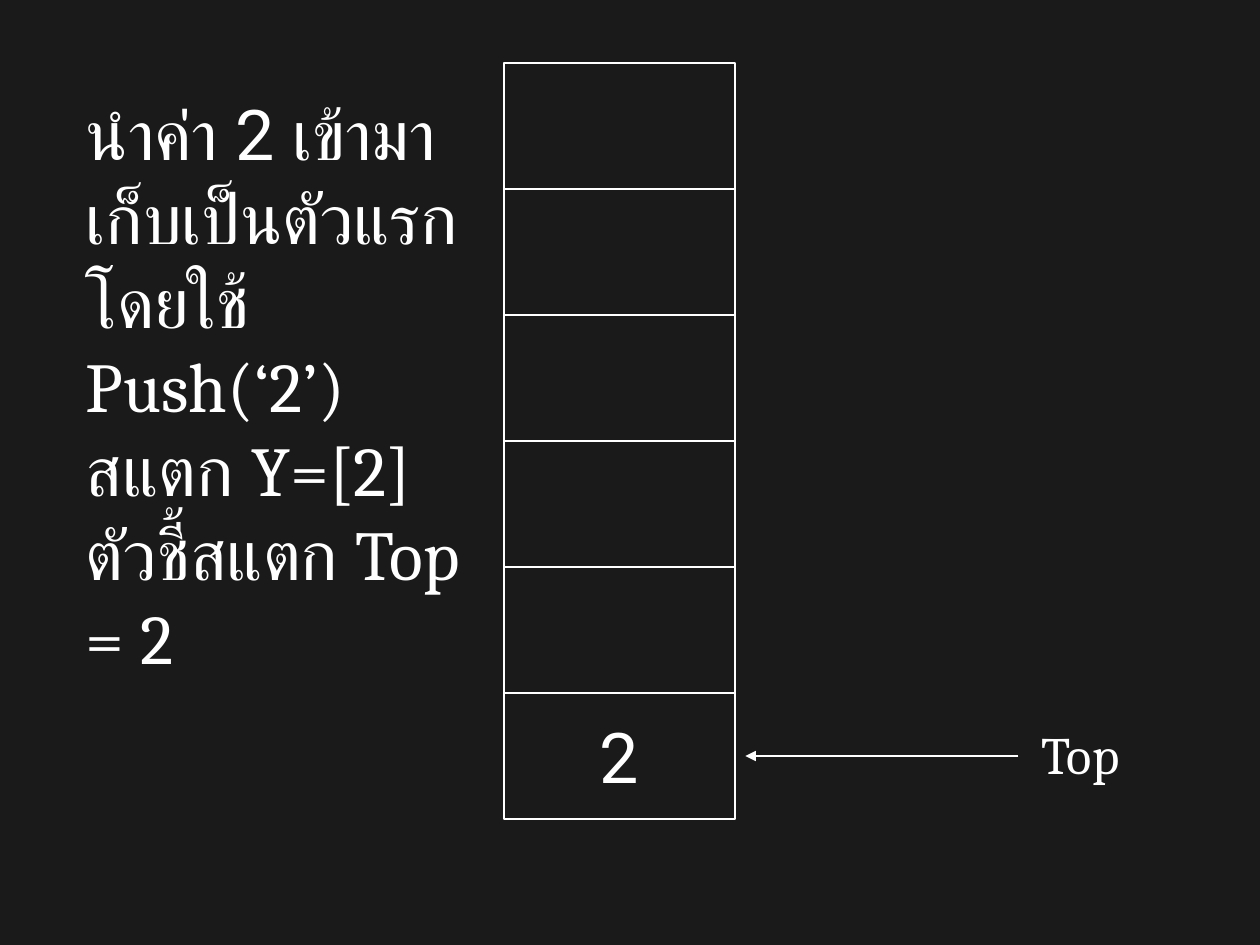
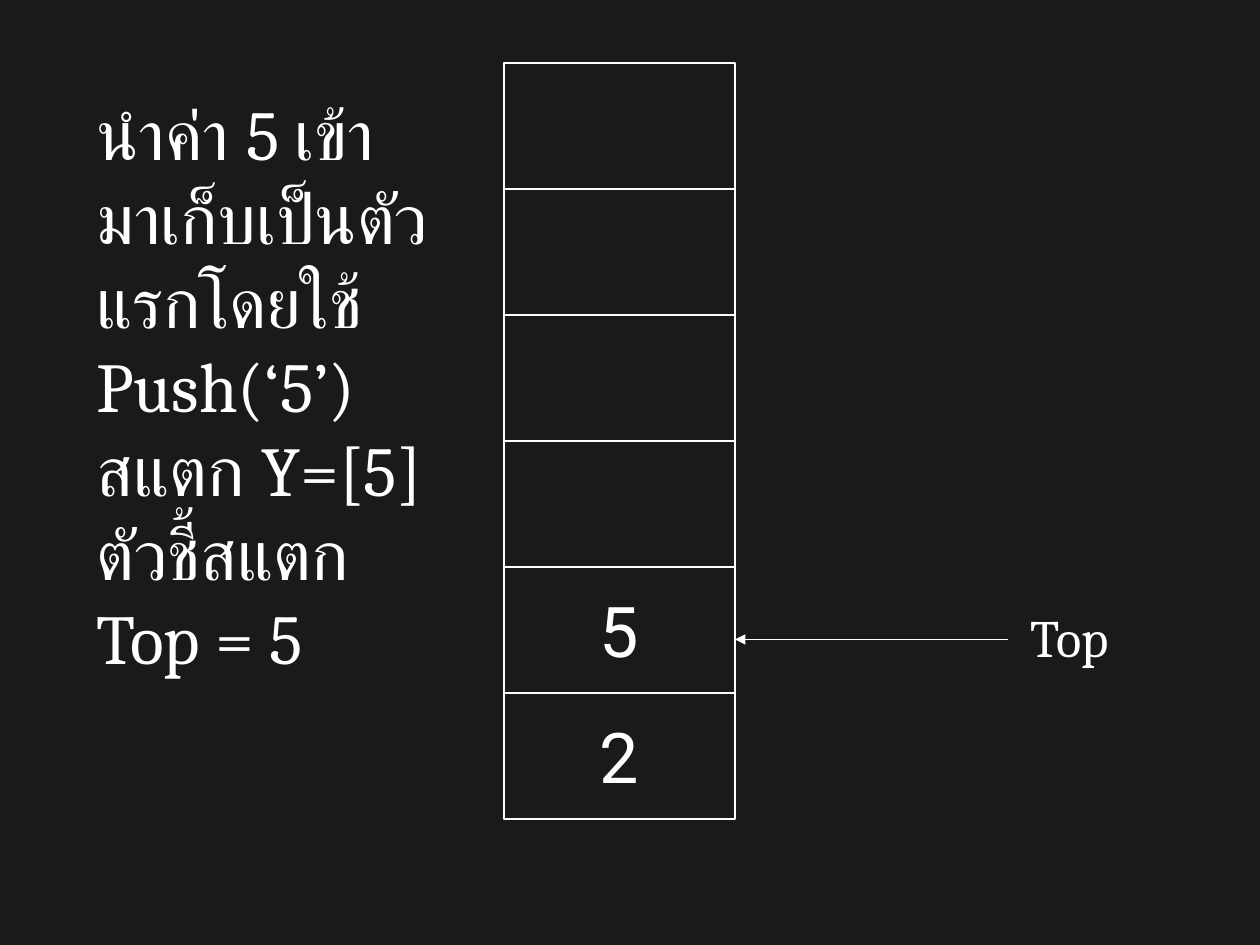
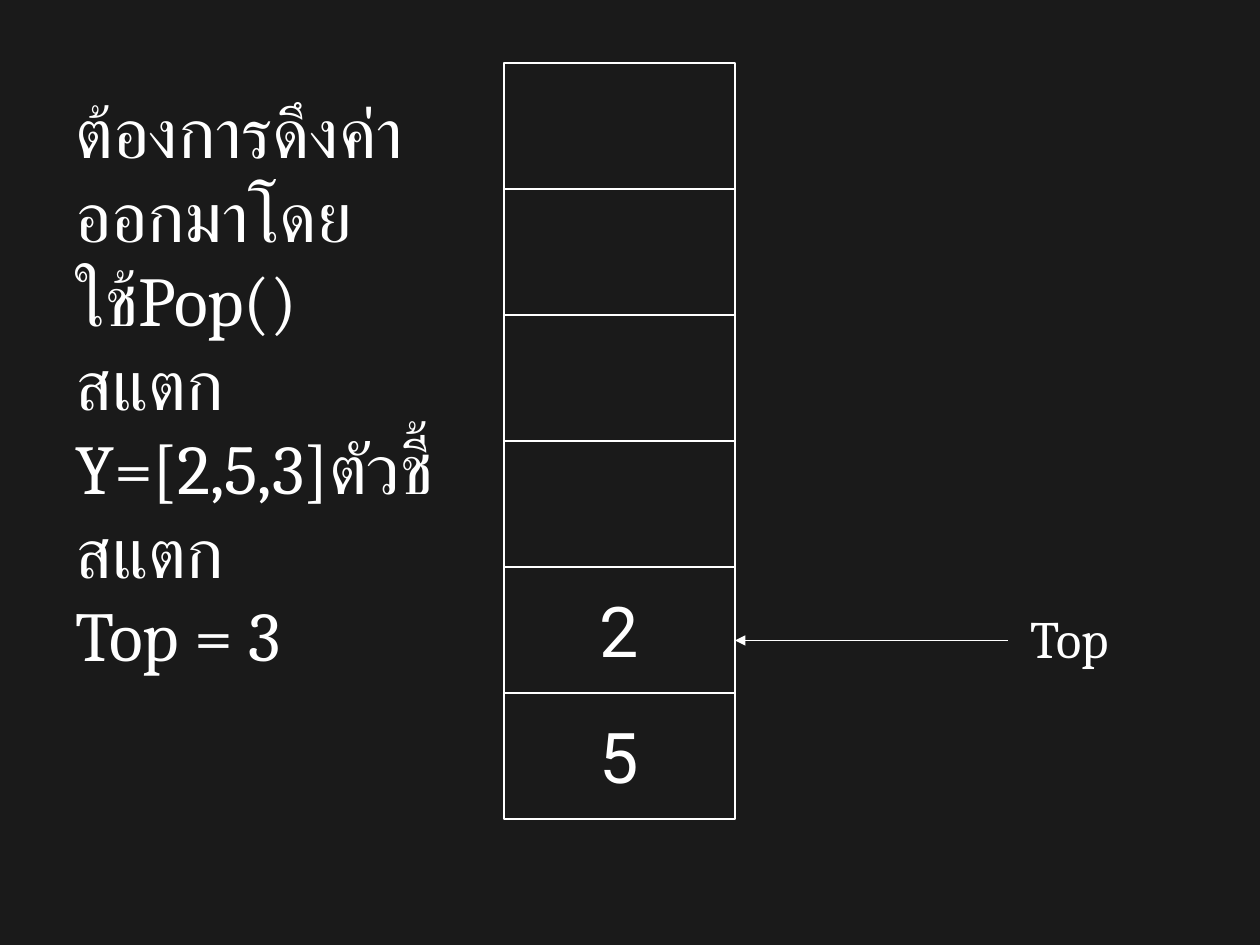
from dataclasses import dataclass

from lxml import etree
from pptx import Presentation
from pptx.dml.color import RGBColor
from pptx.enum.lang import MSO_LANGUAGE_ID
from pptx.enum.shapes import MSO_CONNECTOR, MSO_SHAPE
from pptx.enum.text import MSO_ANCHOR, MSO_AUTO_SIZE, PP_ALIGN
from pptx.oxml.ns import qn
from pptx.slide import Slide
from pptx.text.text import TextFrame
from pptx.util import Inches, Pt

RECT = MSO_SHAPE.RECTANGLE
STRAIGHT = MSO_CONNECTOR.STRAIGHT
MIDDLE = MSO_ANCHOR.MIDDLE
CENTER = PP_ALIGN.CENTER
LEFT = PP_ALIGN.LEFT
GROW = MSO_AUTO_SIZE.SHAPE_TO_FIT_TEXT
THAI = MSO_LANGUAGE_ID.THAI


@dataclass(frozen=True)
class Theme:
    back: RGBColor = RGBColor(0x1A, 0x1A, 0x1A)
    ink: RGBColor = RGBColor(0xFF, 0xFF, 0xFF)
    serif: str = "Cambria"
    sans: str = "Roboto"
    body: int = 40
    label: int = 30
    stroke: float = 0.75


@dataclass(frozen=True)
class Run:
    text: str
    font: str
    size: int


@dataclass(frozen=True)
class Note:
    left: float
    top: float
    width: float
    height: float
    paras: list[list[Run]]


@dataclass(frozen=True)
class Step:
    stack: list[str]  # values from the bottom cell up
    note: Note
    tip: float        # column of the arrow's tip
    row: float        # row of the arrow


THEME = Theme()

# Grid: 120 columns by 90 rows on a 10 by 7.5 inch slide
WIDTH, HEIGHT = Inches(10), Inches(7.5)
UNIT = WIDTH / 120

# Stack, arrow and label, in grid units
CELLS, CELL_X, CELL_W, CELL_H, BASE = 6, 48, 22, 12, 78
REACH, GAP, RISE = 26, 1, 3.84
LABEL_W, LABEL_H = 11.2, 7.2


def grid(*units: float) -> list[int]:
    return [round(unit * UNIT) for unit in units]


def body(text: str, font: str = THEME.serif) -> Run:
    return Run(text, font, THEME.body)


def write(frame: TextFrame, paras: list[list[Run]], align: PP_ALIGN = LEFT) -> None:
    for i, runs in enumerate(paras):
        para = frame.paragraphs[0] if i == 0 else frame.add_paragraph()
        para.alignment = align
        for item in runs:
            run = para.add_run()
            run.text = item.text
            run.font.name = item.font
            run.font.size = Pt(item.size)
            run.font.color.rgb = THEME.ink
            run.font.language_id = THAI


def draw_stack(slide: Slide, values: list[str]) -> None:
    group = slide.shapes.add_group_shape()
    for i in range(CELLS):
        top = BASE - (i + 1) * CELL_H
        cell = group.shapes.add_shape(RECT, *grid(CELL_X, top, CELL_W, CELL_H))
        cell.shadow.inherit = False
        cell.fill.background()
        cell.line.color.rgb = THEME.ink
        cell.line.width = Pt(THEME.stroke)
        if i < len(values):
            frame = cell.text_frame
            frame.word_wrap = False
            frame.vertical_anchor = MIDDLE
            write(frame, [[body(values[i], THEME.sans)]], CENTER)


def draw_text(slide: Slide, note: Note, wrap: bool = True) -> None:
    box = slide.shapes.add_textbox(*grid(note.left, note.top, note.width, note.height))
    box.text_frame.word_wrap = wrap
    box.text_frame.auto_size = GROW
    write(box.text_frame, note.paras)


def draw_top(slide: Slide, tip: float, row: float) -> None:
    start = tip + REACH
    arrow = slide.shapes.add_connector(STRAIGHT, *grid(start, row, tip, row))
    arrow.line.color.rgb = THEME.ink
    arrow.line.width = Pt(THEME.stroke)
    # Arrowhead, and no shadow
    etree.SubElement(arrow.line._get_or_add_ln(), qn("a:tailEnd"), type="triangle")
    etree.SubElement(arrow._element.spPr, qn("a:effectLst"))
    run = Run("Top", THEME.serif, THEME.label)
    draw_text(slide, Note(start + GAP, row - RISE, LABEL_W, LABEL_H, [[run]]), wrap=False)


STEPS = [
    Step(["2"], Note(7, 8, 39, 57.2, [[
        body("นำค่า 2 เข้ามาเก็บเป็นตัวแรกโดยใช้ ", THEME.sans),
        body("Push(‘2’) สแตก Y=[2] ตัวชี้สแตก Top = 2"),
    ]]), 71, 72),
    Step(["2", "5"], Note(8, 8, 34.2, 65.2, [[
        body("นำค่า 5 เข้ามาเก็บเป็นตัวแรกโดยใช้ Push(‘5’) สแตก Y=[5] ตัวชี้สแตก Top = 5"),
    ]]), 70, 60.9),
    Step(["5", "2"], Note(6, 7.8, 37, 57.2, [
        [body("ต้องการดึงค่าออกมาโดยใช้Pop()")],
        [body("สแตก Y=[2,5,3]ตัวชี้สแตก")],
        [body("Top = 3")],
    ]), 70, 61),
]


def main() -> None:
    deck = Presentation()
    deck.slide_width, deck.slide_height = WIDTH, HEIGHT
    for step in STEPS:
        slide = deck.slides.add_slide(deck.slide_layouts[6])
        fill = slide.background.fill
        fill.solid()
        fill.fore_color.rgb = THEME.back
        draw_stack(slide, step.stack)
        draw_text(slide, step.note)
        draw_top(slide, step.tip, step.row)
    deck.save("out.pptx")


if __name__ == "__main__":
    main()
